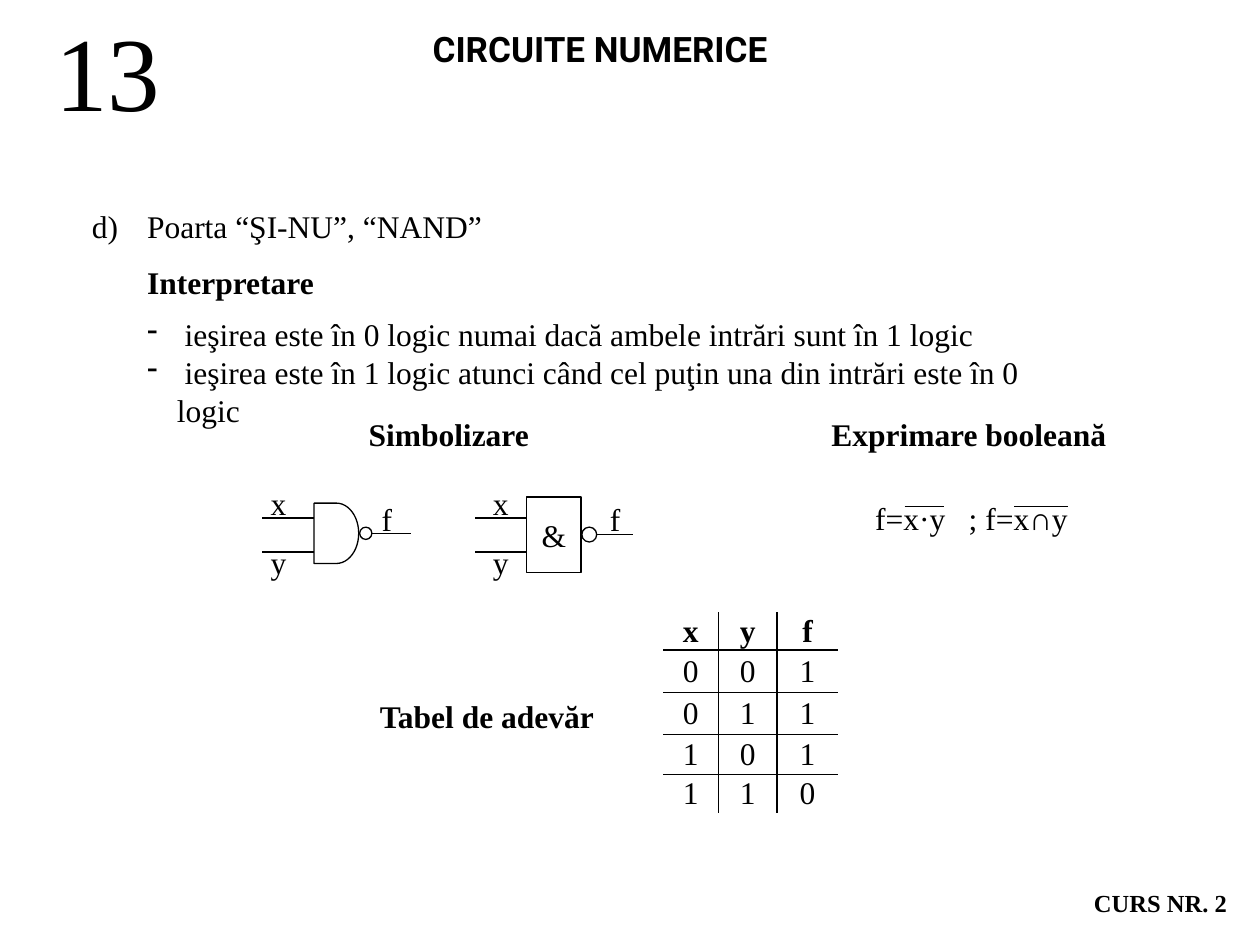
from lxml.etree import SubElement
from pptx import Presentation
from pptx.dml.color import RGBColor
from pptx.enum.shapes import MSO_CONNECTOR as Conn, MSO_SHAPE as Kind
from pptx.enum.text import MSO_ANCHOR as Anchor, MSO_AUTO_SIZE as Fit, PP_ALIGN as Align
from pptx.oxml.ns import qn
from pptx.util import Pt

HEX = {"ink": "000000", "paper": "FFFFFF"}
SERIF = "Times New Roman"


def color(name):
    return RGBColor.from_string(HEX[name])


def style(par, size=18, bold=False, face=SERIF):
    font = par.font
    font.size, font.bold, font.name = Pt(size), bold, face
    font.color.rgb = color("ink")


def label(slide, text, x, y, w, h=29, size=18, bold=False):
    """Add one line of text that does not wrap."""
    box = slide.shapes.add_textbox(Pt(x), Pt(y), Pt(w), Pt(h))
    frame = box.text_frame
    frame.word_wrap = False
    frame.auto_size = Fit.SHAPE_TO_FIT_TEXT
    par = frame.paragraphs[0]
    par.text = text
    style(par, size, bold)
    return par


def line(slide, x1, y1, x2, y2):
    wire = slide.shapes.add_connector(Conn.STRAIGHT, Pt(x1), Pt(y1), Pt(x2), Pt(y2))
    wire.line.color.rgb = color("ink")
    wire.line.width = Pt(0.75)
    SubElement(wire._element.spPr, qn("a:effectLst"))


def shape(slide, kind, x, y, w, h):
    item = slide.shapes.add_shape(kind, Pt(x), Pt(y), Pt(w), Pt(h))
    item.shadow.inherit = False
    item.fill.solid()
    item.fill.fore_color.rgb = color("paper")
    item.line.color.rgb = color("ink")
    item.line.width = Pt(0.75)
    return item


def gate(slide, kind, x, y, w, h, dot, names, out):
    """Draw a gate body with two inputs, a negation dot and an output."""
    mid, right = y + h / 2, x + w
    for level in (296, 315.5):
        line(slide, x - 29.5, level, x, level)
    line(slide, right, mid, right + 30, mid)
    body = shape(slide, kind, x, y, w, h)
    shape(slide, Kind.OVAL, right + 0.5, mid - dot / 2, dot, dot)
    label(slide, "x", names, 273, 24)
    label(slide, "y", names, 307, 24)
    label(slide, "f", out, 282, 22)
    return body


def title(slide, text):
    head = slide.shapes.title
    head.left, head.top, head.width, head.height = Pt(240), Pt(12), Pt(218), Pt(32)
    frame = head.text_frame
    frame.word_wrap = False
    frame.vertical_anchor = Anchor.TOP
    par = frame.paragraphs[0]
    par.text = text
    par.alignment = Align.LEFT
    style(par, 20, True, "Roboto")


def points(slide, items):
    box = slide.shapes.add_textbox(Pt(77), Pt(176.5), Pt(542), Pt(50))
    frame = box.text_frame
    frame.word_wrap = True
    for i, item in enumerate(items):
        par = frame.add_paragraph() if i else frame.paragraphs[0]
        par.text = " " + item
        props = par._p.get_or_add_pPr()
        props.set("marL", str(Pt(17)))
        props.set("indent", str(-Pt(17)))
        SubElement(props, qn("a:buChar"), char="-")
        style(par)


def border(cell, side, width):
    edge = SubElement(cell._tc.get_or_add_tcPr(), qn("a:" + side), w=str(Pt(width)))
    if not width:
        SubElement(edge, qn("a:noFill"))
        return
    fill = SubElement(edge, qn("a:solidFill"))
    SubElement(fill, qn("a:srgbClr"), val=HEX["ink"])


def truth(slide, rows):
    """Add the truth table: inner rules only, heavy at the head and result."""
    wide, high = (31.5, 33.5, 35), (21, 24, 24, 23, 22)
    grid = slide.shapes.add_table(
        len(high), len(wide), Pt(379), Pt(350), Pt(sum(wide)), Pt(sum(high))).table
    grid.first_row = grid.horz_banding = False
    for col, w in zip(grid.columns, wide):
        col.width = Pt(w)
    across, down = (0, 0.75, 1.5, 0), (0, 1.5, 0.75, 0.75, 0.75, 0)
    for r, row in enumerate(rows):
        grid.rows[r].height = Pt(high[r])
        for c, text in enumerate(row):
            cell = grid.cell(r, c)
            cell.margin_left = cell.margin_right = 0
            cell.margin_top = cell.margin_bottom = 0
            cell.vertical_anchor = Anchor.MIDDLE
            par = cell.text_frame.paragraphs[0]
            par.text = text
            par.alignment = Align.CENTER
            style(par, bold=r == 0)
            border(cell, "lnL", across[c])
            border(cell, "lnR", across[c + 1])
            border(cell, "lnT", down[r])
            border(cell, "lnB", down[r + 1])
            cell.fill.background()


def formula(slide):
    par = label(slide, "f=x·y\t; f=x", 493, 281.5, 128)
    tabs = SubElement(par._p.get_or_add_pPr(), qn("a:tabLst"))
    SubElement(tabs, qn("a:tab"), pos=str(Pt(53.5)), algn="l")
    par._p.pPr.insert(0, tabs)
    for text, face in (("∩", "Arial"), ("y", SERIF)):
        run = par.add_run()
        run.text = text
        run.font.name = face
    # Negation bars
    line(slide, 517, 289.5, 539.5, 289.5)
    line(slide, 579.5, 289.5, 610.5, 289.5)


def main():
    deck = Presentation()
    deck.slide_width, deck.slide_height = Pt(720), Pt(540)
    slide = deck.slides.add_slide(deck.slide_layouts[5])

    # Title, number and footer
    title(slide, "CIRCUITE NUMERICE")
    label(slide, "13", 24.5, 0, 78, 79, size=60)
    label(slide, "CURS NR. 2", 618, 504, 96, 24, size=14, bold=True)

    # Meaning of the gate
    label(slide, "d)", 45.5, 114.5, 31)
    label(slide, "Poarta “ŞI-NU”, “NAND”", 77, 114.5, 208)
    label(slide, "Interpretare", 77, 146.5, 112, bold=True)
    points(slide, (
        "ieşirea este în 0 logic numai dacă ambele intrări sunt în 1 logic",
        "ieşirea este în 1 logic atunci când cel puţin una din intrări este în 0 logic",
    ))

    # Symbols
    label(slide, "Simbolizare", 203.5, 233.5, 109, bold=True)
    gate(slide, Kind.FLOWCHART_DELAY, 179.5, 287.5, 25.5, 34.5, 7, 147.5, 211)
    block = gate(slide, Kind.RECTANGLE, 301, 284, 31, 43, 8.5, 274.5, 341.5)
    block.text_frame.word_wrap = False
    par = block.text_frame.paragraphs[0]
    par.text = "&"
    par.alignment = Align.CENTER
    style(par)

    # Boolean expression
    label(slide, "Exprimare booleană", 468, 233.5, 174, bold=True)
    formula(slide)

    # Truth table
    label(slide, "Tabel de adevăr", 210, 394.5, 140, bold=True)
    truth(slide, ("xyf", "001", "011", "101", "110"))

    deck.save("out.pptx")


if __name__ == "__main__":
    main()
